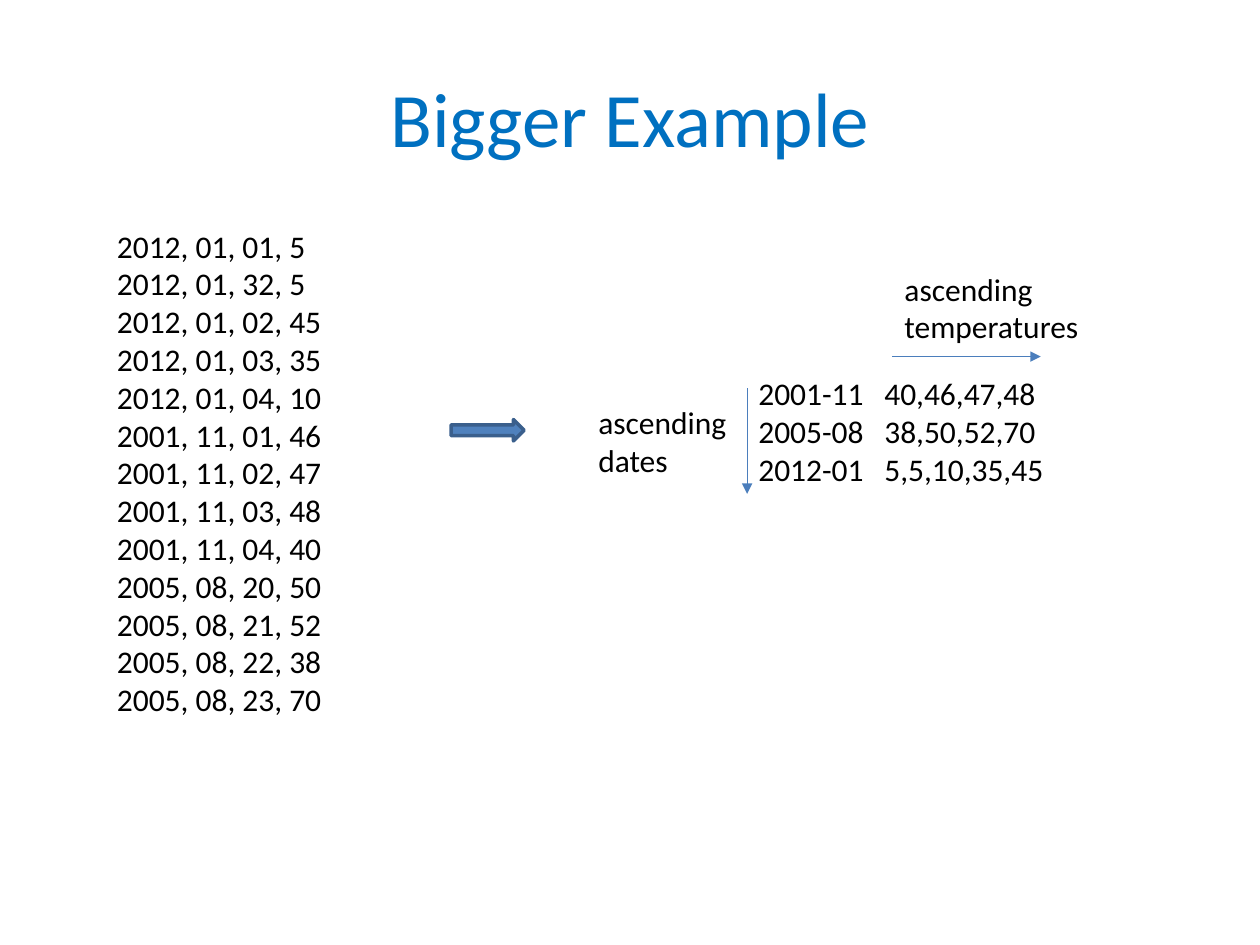
from dataclasses import dataclass

from lxml import etree
from pptx import Presentation
from pptx.dml.color import RGBColor
from pptx.enum.shapes import MSO_CONNECTOR, MSO_SHAPE
from pptx.enum.text import MSO_ANCHOR, MSO_AUTO_SIZE, PP_ALIGN
from pptx.oxml.ns import qn
from pptx.util import Inches, Pt

STRAIGHT = MSO_CONNECTOR.STRAIGHT
RIGHT_ARROW = MSO_SHAPE.RIGHT_ARROW
MIDDLE = MSO_ANCHOR.MIDDLE
CENTER = PP_ALIGN.CENTER
FIT_SHAPE = MSO_AUTO_SIZE.SHAPE_TO_FIT_TEXT


@dataclass(frozen=True)
class Theme:
    font: str = "Calibri"
    title_size: int = 44
    body_size: int = 18
    title_color: str = "0070C0"
    text_color: str = "000000"
    arrow_fill: str = "4F81BD"
    arrow_outline: str = "3A5F8C"
    axis_color: str = "4B7EBC"
    outline_width: float = 2
    axis_width: float = 0.75


THEME = Theme()

RECORDS = [
    "2012, 01, 01, 5",
    "2012, 01, 32, 5",
    "2012, 01, 02, 45",
    "2012, 01, 03, 35",
    "2012, 01, 04, 10",
    "2001, 11, 01, 46",
    "2001, 11, 02, 47",
    "2001, 11, 03, 48",
    "2001, 11, 04, 40",
    "2005, 08, 20, 50",
    "2005, 08, 21, 52",
    "2005, 08, 22, 38",
    "2005, 08, 23, 70",
]
SORTED_MONTHS = [
    ("2001-11", "40,46,47,48"),
    ("2005-08", "38,50,52,70"),
    ("2012-01", "5,5,10,35,45"),
]


def style_text(text_frame, size, color):
    for paragraph in text_frame.paragraphs:
        for run in paragraph.runs:
            run.font.name = THEME.font
            run.font.size = Pt(size)
            run.font.color.rgb = RGBColor.from_string(color)


def add_title(slide, text, left, top, width, height):
    title = slide.shapes.title
    title.left, title.top = Inches(left), Inches(top)
    title.width, title.height = Inches(width), Inches(height)
    text_frame = title.text_frame
    text_frame.text = text
    text_frame.vertical_anchor = MIDDLE
    text_frame.paragraphs[0].alignment = CENTER
    style_text(text_frame, THEME.title_size, THEME.title_color)


def add_lines(slide, lines, left, top, width, height):
    box = slide.shapes.add_textbox(Inches(left), Inches(top), Inches(width), Inches(height))
    text_frame = box.text_frame
    text_frame.text = "\n".join(lines)
    text_frame.word_wrap = False
    text_frame.auto_size = FIT_SHAPE
    style_text(text_frame, THEME.body_size, THEME.text_color)


def add_block_arrow(slide, left, top, width, height):
    arrow = slide.shapes.add_shape(
        RIGHT_ARROW, Inches(left), Inches(top), Inches(width), Inches(height)
    )
    arrow.shadow.inherit = False
    arrow.fill.solid()
    arrow.fill.fore_color.rgb = RGBColor.from_string(THEME.arrow_fill)
    arrow.line.color.rgb = RGBColor.from_string(THEME.arrow_outline)
    arrow.line.width = Pt(THEME.outline_width)


def add_axis_arrow(slide, left, top, width, height):
    axis = slide.shapes.add_connector(
        STRAIGHT, Inches(left), Inches(top), Inches(left + width), Inches(top + height)
    )
    axis.line.color.rgb = RGBColor.from_string(THEME.axis_color)
    axis.line.width = Pt(THEME.axis_width)
    etree.SubElement(axis.line._get_or_add_ln(), qn("a:tailEnd"), type="triangle")
    etree.SubElement(axis._element.spPr, qn("a:effectLst"))


def add_sorted_result(slide, left, top):
    rows = ["\t".join(month) for month in SORTED_MONTHS]
    add_lines(slide, rows, left + 1.27, top + 0.83, 2.49, 1.01)
    add_axis_arrow(slide, left + 1.28, top + 0.99, 0, 0.84)
    add_lines(slide, ["ascending", "dates"], left, top + 1.06, 1.23, 0.71)
    add_axis_arrow(slide, left + 2.43, top + 0.74, 1.18, 0)
    add_lines(slide, ["ascending", "temperatures"], left + 2.43, top, 1.6, 0.71)


def build_example_slide(presentation):
    slide = presentation.slides.add_slide(presentation.slide_layouts[5])
    add_title(slide, "Bigger Example", 0.5, 0.3, 9, 1.25)
    add_lines(slide, RECORDS, 0.83, 1.75, 1.84, 4.34)
    add_block_arrow(slide, 3.58, 3.33, 0.58, 0.17)
    add_sorted_result(slide, 4.65, 2.09)


presentation = Presentation()
presentation.slide_width = Inches(10)
presentation.slide_height = Inches(7.5)
build_example_slide(presentation)
presentation.save("out.pptx")
